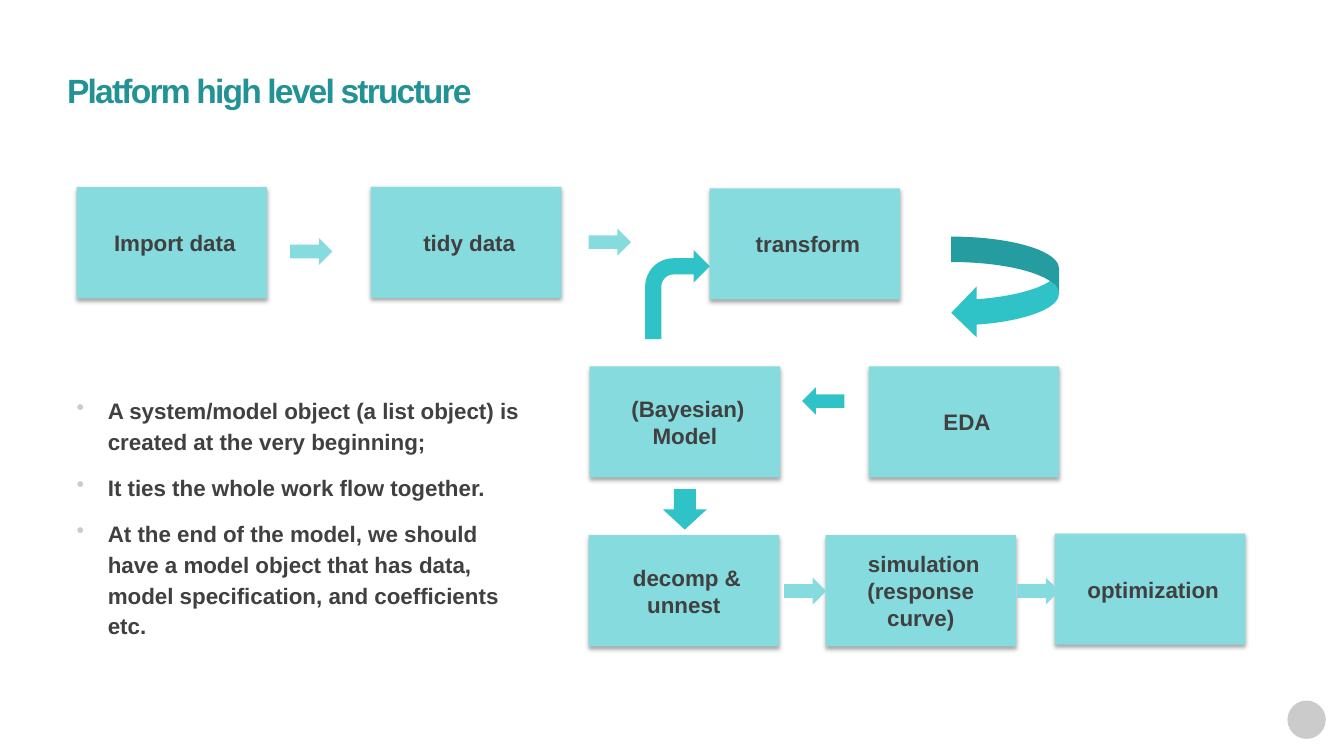
from dataclasses import dataclass

from lxml import etree
from pptx import Presentation
from pptx.dml.color import RGBColor
from pptx.enum.shapes import MSO_SHAPE
from pptx.enum.text import MSO_ANCHOR, PP_ALIGN
from pptx.oxml.ns import qn
from pptx.shapes.autoshape import Shape
from pptx.slide import Slide
from pptx.text.text import Font, TextFrame
from pptx.util import Pt

RECTANGLE, OVAL = MSO_SHAPE.RECTANGLE, MSO_SHAPE.OVAL
RIGHT, LEFT, DOWN = MSO_SHAPE.RIGHT_ARROW, MSO_SHAPE.LEFT_ARROW, MSO_SHAPE.DOWN_ARROW
BENT, CURVED_LEFT = MSO_SHAPE.BENT_ARROW, MSO_SHAPE.CURVED_LEFT_ARROW
TOP, MIDDLE, BOTTOM = MSO_ANCHOR.TOP, MSO_ANCHOR.MIDDLE, MSO_ANCHOR.BOTTOM
CENTER = PP_ALIGN.CENTER


@dataclass(frozen=True)
class Theme:
    font: str = "Arial"
    title_size: float = 24
    body_size: float = 16
    title: str = "239295"
    text: str = "404040"
    step: str = "86DBDE"
    loop: str = "2FC3C7"
    bullet: str = "CCCCCC"
    badge: str = "999999"
    shadow: str = "000000"


@dataclass(frozen=True)
class Step:
    label: str
    left: float
    top: float


@dataclass(frozen=True)
class Arrow:
    kind: MSO_SHAPE
    left: float
    top: float
    color: str
    width: float = 30.2
    height: float = 19.4


THEME = Theme()
STEP_WIDTH, STEP_HEIGHT = 136, 79.4
BULLET_INDENT = 22.3

STEPS = [
    Step("Import data", 54.7, 133.7),
    Step("tidy data", 265, 133.4),
    Step("transform", 506.9, 134.5),
    Step("EDA", 620.6, 261.6),
    Step("(Bayesian) Model", 421.2, 261.6),
    Step("decomp & unnest", 420.5, 382.3),
    Step("simulation (response curve)", 589.7, 382.3),
    Step("optimization", 753.6, 381.1),
]

ARROWS = [
    Arrow(RIGHT, 207.2, 170, THEME.step),
    Arrow(RIGHT, 420.5, 163.3, THEME.step),
    Arrow(RIGHT, 560, 412.5, THEME.step),
    Arrow(RIGHT, 726.5, 412.5, THEME.step),
    Arrow(CURVED_LEFT, 679.5, 169, THEME.loop, 77, 72.6),
    Arrow(LEFT, 573, 276.8, THEME.loop),
    Arrow(BENT, 460.8, 178.7, THEME.loop, 46.3, 63.5),
    Arrow(DOWN, 473.4, 349.3, THEME.loop, 31.5, 29),
]

NOTES = [
    "A system/model object (a list object) is created at the very beginning;",
    "It ties the whole work flow together.",
    "At the end of the model, we should have a model object that has data, "
    "model specification, and coefficients etc.",
]


def style_font(font: Font, size: float, color: str) -> None:
    font.name = THEME.font
    font.size = Pt(size)
    font.bold = True
    font.color.rgb = RGBColor.from_string(color)


def add_color(parent: etree._Element, color: str, alpha: int | None = None) -> None:
    element = etree.SubElement(parent, qn("a:srgbClr"), val=color)
    if alpha is not None:
        etree.SubElement(element, qn("a:alpha"), val=str(alpha * 1000))


def add_filled(slide: Slide, kind: MSO_SHAPE, left: float, top: float,
               width: float, height: float, color: str) -> Shape:
    """Add a flat preset shape without outline or shadow."""
    shape = slide.shapes.add_shape(kind, Pt(left), Pt(top), Pt(width), Pt(height))
    shape.shadow.inherit = False
    shape.fill.solid()
    shape.fill.fore_color.rgb = RGBColor.from_string(color)
    shape.line.fill.background()
    return shape


def add_text_area(slide: Slide, left: float, top: float, width: float,
                  height: float, anchor: MSO_ANCHOR) -> TextFrame:
    """Add a wrapping text box without insets."""
    frame = slide.shapes.add_textbox(Pt(left), Pt(top), Pt(width), Pt(height)).text_frame
    frame.word_wrap = True
    frame.vertical_anchor = anchor
    frame.margin_left = frame.margin_top = frame.margin_right = frame.margin_bottom = 0
    return frame


def add_badge(slide: Slide) -> None:
    """Add the half-transparent disc in the lower right corner."""
    badge = add_filled(slide, OVAL, 919.6, 500.4, 27.4, 27.4, THEME.badge)
    color = badge.fill._xPr.find(f".//{qn('a:srgbClr')}")
    etree.SubElement(color, qn("a:alpha"), val="50000")


def add_title(slide: Slide) -> None:
    paragraph = add_text_area(slide, 48, 21.6, 864, 56.9, BOTTOM).paragraphs[0]
    paragraph.line_spacing = 0.8
    run = paragraph.add_run()
    run.text = "Platform high level structure"
    style_font(run.font, THEME.title_size, THEME.title)
    run.font._element.set("spc", "-130")


def add_step(slide: Slide, step: Step) -> None:
    box = add_filled(slide, RECTANGLE, step.left, step.top,
                     STEP_WIDTH, STEP_HEIGHT, THEME.step)
    effects = box._element.spPr.find(qn("a:effectLst"))
    shadow = etree.SubElement(effects, qn("a:outerShdw"), blurRad=str(Pt(3.1)),
                              dist=str(Pt(1.8)), dir="5400000", rotWithShape="0")
    add_color(shadow, THEME.shadow, 35)
    frame = box.text_frame
    frame.word_wrap = True
    frame.vertical_anchor = MIDDLE
    paragraph = frame.paragraphs[0]
    paragraph.text = f" {step.label}"
    paragraph.alignment = CENTER
    style_font(paragraph.font, THEME.body_size, THEME.text)


def add_notes_list(slide: Slide) -> None:
    frame = add_text_area(slide, 54.7, 280.8, 318.2, 187.2, TOP)
    for index, note in enumerate(NOTES):
        paragraph = frame.add_paragraph() if index else frame.paragraphs[0]
        paragraph.text = note
        paragraph.line_spacing = Pt(22)
        paragraph.space_before = Pt(11)
        style_font(paragraph.font, THEME.body_size, THEME.text)
        properties = paragraph._p.get_or_add_pPr()
        properties.set("marL", str(Pt(BULLET_INDENT)))
        properties.set("indent", str(-Pt(BULLET_INDENT)))
        bullet_color = etree.Element(qn("a:buClr"))
        add_color(bullet_color, THEME.bullet)
        bullet = etree.Element(qn("a:buChar"), char="•")
        run_defaults = properties.find(qn("a:defRPr"))
        run_defaults.addprevious(bullet_color)
        run_defaults.addprevious(bullet)


def main() -> None:
    presentation = Presentation()
    presentation.slide_width, presentation.slide_height = Pt(960), Pt(540)
    slide = presentation.slides.add_slide(presentation.slide_layouts[6])
    add_badge(slide)
    add_title(slide)
    for step in STEPS:
        add_step(slide, step)
    for arrow in ARROWS:
        add_filled(slide, arrow.kind, arrow.left, arrow.top,
                   arrow.width, arrow.height, arrow.color)
    add_notes_list(slide)
    presentation.save("out.pptx")


if __name__ == "__main__":
    main()
